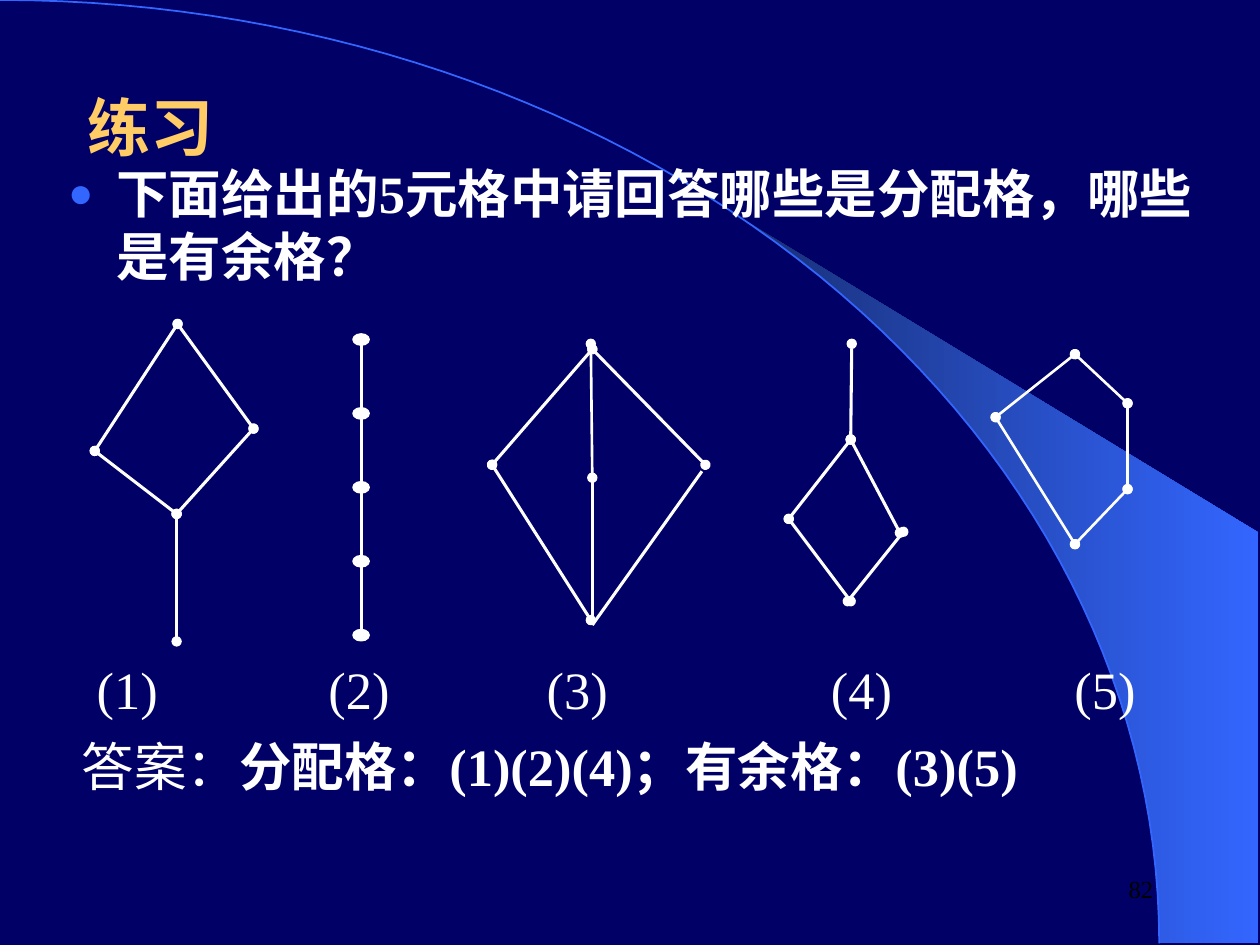
"""Builds the exercise slide on five-element lattices."""
import math
from dataclasses import dataclass

from lxml import etree
from pptx import Presentation
from pptx.dml.color import RGBColor
from pptx.enum import shapes, text
from pptx.oxml import ns
from pptx.util import Cm, Pt


@dataclass(frozen=True)
class Theme:
    font: str = "Times New Roman"
    back: str = "000066"
    accent: str = "3366FF"
    shade: str = "182F76"
    title: str = "FFCC66"
    ink: str = "FFFFFF"
    number: str = "000000"
    title_size: float = 36
    body_size: float = 30
    number_size: float = 14


def rgb(value):
    return RGBColor.from_string(value)


def sub(parent, tag, **attrs):
    return etree.SubElement(parent, ns.qn(tag), attrs)


def add_run(p, content, *, font, size, color, bold=False):
    r = p.add_run()
    r.text = content
    r.font.name, r.font.size, r.font.bold = font, Pt(size), bold
    r.font.color.rgb = rgb(color)
    return r


class Deck:
    def __init__(self, theme):
        self.theme = theme
        self.prs = Presentation()
        self.prs.slide_width, self.prs.slide_height = Cm(25.4), Cm(19.05)
        self.s = self.prs.slides.add_slide(self.prs.slide_layouts[1])
        fill = self.s.background.fill
        fill.solid()
        fill.fore_color.rgb = rgb(theme.back)

    def place(self, sp, box):
        sp.left, sp.top, sp.width, sp.height = map(Cm, box)
        tf = sp.text_frame
        tf.word_wrap = True
        tf.auto_size = text.MSO_AUTO_SIZE.NONE
        return tf.paragraphs[0]

    def run(self, p, content, **changes):
        style = dict(font=self.theme.font, size=self.theme.body_size, color=self.theme.ink)
        return add_run(p, content, **{**style, **changes})

    def title(self, content, box):
        p = self.place(self.s.shapes.title, box)
        p.alignment = text.PP_ALIGN.LEFT
        self.run(p, content, size=self.theme.title_size, color=self.theme.title, bold=True)

    def bullet(self, content, box, indent):
        p = self.place(self.s.placeholders[1], box)
        pPr = p._p.get_or_add_pPr()
        pPr.set("marL", str(Cm(indent)))
        pPr.set("indent", str(-Cm(indent)))
        sub(sub(pPr, "a:buClr"), "a:srgbClr", val=self.theme.accent)
        sub(pPr, "a:buSzPct", val="80000")
        sub(pPr, "a:buChar", char="●")
        p.space_before = Pt(0)
        self.run(p, content, bold=True)

    def text(self, runs, box, tabs=(), align=text.PP_ALIGN.LEFT, **style):
        p = self.place(self.s.shapes.add_textbox(0, 0, 0, 0), box)
        if tabs:
            stops = sub(p._p.get_or_add_pPr(), "a:tabLst")
            for tab in tabs:
                sub(stops, "a:tab", pos=str(Cm(tab)), algn="l")
        p.alignment = align
        for content, bold in runs:
            self.run(p, content, bold=bold, **style)

    def outline(self, points, closed):
        points = [(Cm(x), Cm(y)) for x, y in points]
        builder = self.s.shapes.build_freeform(*points[0])
        builder.add_line_segments(points[1:], close=closed)
        sp = builder.convert_to_shape()
        sp.shadow.inherit = False
        self.s.shapes._spTree.insert(2, sp._element)
        return sp

    def curve(self, points):
        sp = self.outline(points, closed=False)
        sp.fill.background()
        sp.line.color.rgb = rgb(self.theme.accent)
        sp.line.width = Pt(1)

    def wedge(self, points):
        sp = self.outline(points, closed=True)
        sp.line.fill.background()
        sp.fill.gradient()
        sp.fill.gradient_angle = 0
        for stop, color, at in zip(sp.fill.gradient_stops, (self.theme.shade, self.theme.accent), (0, 1)):
            stop.color.rgb = rgb(color)
            stop.position = at

    def edge(self, start, end, width=1.75, dots=True):
        sp = self.s.shapes.add_connector(shapes.MSO_CONNECTOR.STRAIGHT, *map(Cm, (*start, *end)))
        sp.line.color.rgb = rgb(self.theme.ink)
        sp.line.width = Pt(width)
        if dots:
            for tag in ("a:headEnd", "a:tailEnd"):
                sub(sp.line._get_or_add_ln(), tag, type="oval")
        sub(sp._element.spPr, "a:effectLst")

    def node(self, box):
        sp = self.s.shapes.add_shape(shapes.MSO_SHAPE.OVAL, *map(Cm, box))
        sp.shadow.inherit = False
        sp.fill.solid()
        sp.fill.fore_color.rgb = rgb(self.theme.ink)
        sp.line.color.rgb = rgb(self.theme.ink)
        sp.line.width = Pt(0.75)

    def lattice(self, nodes, edges, **style):
        for a, b in edges.split():
            self.edge(nodes[a], nodes[b], **style)

    def chain(self, x, top, step, count):
        width, height = 0.33, 0.23
        for i in range(count):
            y = top + i * step
            self.node((x - width / 2, y, width, height))
            if i < count - 1:
                self.edge((x, y + height), (x, y + step), dots=False)


def arc(start, steps=60):
    """Returns points on the quarter ellipse from an angle to its right end."""
    angles = (start + (math.pi / 2 - start) * i / steps for i in range(steps + 1))
    return [(23.37 * math.sin(t), 19.02 * (1 - math.cos(t))) for t in angles]


def main():
    theme = Theme()
    deck = Deck(theme)
    deck.curve(arc(0))
    deck.wedge(arc(math.asin(0.64)) + [(25.37, 19.02), (25.37, 10.74)])
    deck.title("练习", (1.5, 1.55, 23.22, 1.98))
    deck.bullet("下面给出的5元格中请回答哪些是分配格，哪些是有余格？", (1.12, 3.12, 23.85, 11.2), 0.97)

    kite = dict(l=(1.91, 9.09), m=(3.56, 10.36), b=(3.56, 12.93), t=(3.58, 6.53), r=(5.11, 8.64))
    deck.lattice(kite, "lm mb lt tr rm")
    deck.chain(7.28, 6.73, 1.49, 5)
    diamond = dict(t=(11.94, 7.04), l=(9.92, 9.37), b=(11.91, 12.5), r=(14.22, 9.37), s=(14.15, 9.5),
                   p=(11.91, 6.93), m=(11.94, 9.63), f=(11.94, 12.6))
    deck.lattice(diamond, "tl lb tr")
    deck.lattice(diamond, "sf mf", dots=False)
    deck.lattice(diamond, "pm", width=1.5)
    tailed = dict(l=(15.9, 10.46), b=(17.15, 12.12), m=(17.15, 8.86), r=(18.14, 10.74),
                  s=(18.21, 10.72), c=(17.09, 12.12), t=(17.17, 6.93))
    deck.lattice(tailed, "lb lm mr sc mt")
    pentagon = dict(t=(21.67, 7.14), l=(20.07, 8.41), r=(22.73, 8.13), s=(22.73, 9.86), b=(21.67, 10.97))
    deck.lattice(pentagon, "tl tr rs lb sb", width=1.5)

    labels = "\t".join(f"({i})" for i in range(1, 6))
    deck.text([(labels, False)], (1.7, 13.13, 22, 1.52), tabs=(4.67, 9.07, 14.8, 19.71))
    deck.text([("答案：", False), ("分配格：(1)(2)(4)；有余格：(3)(5)", True)], (1.4, 14.68, 22.2, 1.6))
    deck.text([("82", False)], (20.5, 17.5, 3, 0.9), align=text.PP_ALIGN.RIGHT,
              size=theme.number_size, color=theme.number)
    deck.prs.save("out.pptx")


if __name__ == "__main__":
    main()
